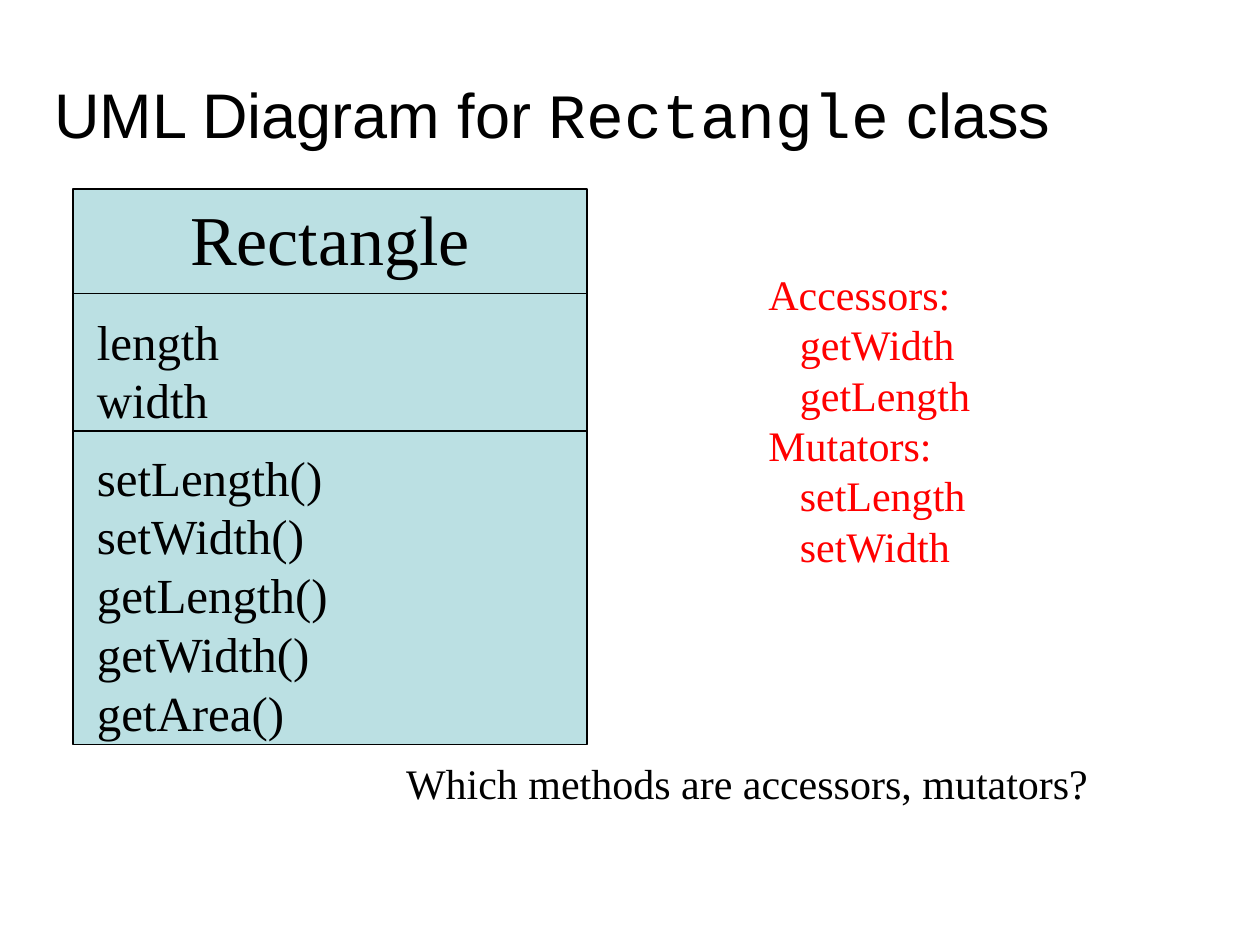
"""Build a slide with the UML class diagram of a Rectangle class."""
from dataclasses import dataclass

from lxml import etree
from pptx import Presentation
from pptx import util as u
from pptx.dml.color import RGBColor
from pptx.enum import shapes, text
from pptx.oxml.ns import qn


@dataclass(frozen=True)
class Theme:
    ink: RGBColor = RGBColor(0, 0, 0)
    answer: RGBColor = RGBColor(255, 0, 0)
    box: RGBColor = RGBColor(0xBB, 0xE0, 0xE3)
    title_font: str = "Arial"
    code_font: str = "Courier New"
    body_font: str = "Times New Roman"
    title_size: int = 36
    class_size: int = 40
    member_size: int = 28
    note_size: int = 24
    line_width: float = 0.75


class SlideBuilder:
    def __init__(self, slide, theme):
        self.slide = slide
        self.theme = theme

    def place(self, shape, left, top, width, height):
        shape.left, shape.top = u.Inches(left), u.Inches(top)
        shape.width, shape.height = u.Inches(width), u.Inches(height)

    def outline(self, shape):
        shape.line.color.rgb = self.theme.ink
        shape.line.width = u.Pt(self.theme.line_width)

    def title(self, pieces, *area):
        shape = self.slide.shapes.title
        self.place(shape, *area)
        frame = shape.text_frame
        frame.vertical_anchor = text.MSO_ANCHOR.BOTTOM
        paragraph = frame.paragraphs[0]
        paragraph.alignment = text.PP_ALIGN.LEFT
        paragraph.font.size = u.Pt(self.theme.title_size)
        paragraph.font.color.rgb = self.theme.ink
        for wording, font in pieces:
            run = paragraph.add_run()
            run.text = wording
            run.font.name = font

    def rectangle(self, *area):
        shape = self.slide.shapes.add_shape(
            shapes.MSO_SHAPE.RECTANGLE, *map(u.Inches, area))
        shape.shadow.inherit = False
        shape.fill.solid()
        shape.fill.fore_color.rgb = self.theme.box
        self.outline(shape)

    def divider(self, left, right, y):
        line = self.slide.shapes.add_connector(
            shapes.MSO_CONNECTOR.STRAIGHT,
            u.Inches(left), u.Inches(y), u.Inches(right), u.Inches(y))
        self.outline(line)
        etree.SubElement(line._element.spPr, qn("a:effectLst"))

    def text(self, lines, size, *area, color=None, centered=False, wrap=True):
        """Add a text box from (wording, left indent) pairs, one paragraph each."""
        frame = self.slide.shapes.add_textbox(*map(u.Inches, area)).text_frame
        frame.word_wrap = wrap
        for index, (wording, indent) in enumerate(lines):
            paragraph = frame.add_paragraph() if index else frame.paragraphs[0]
            paragraph.text = wording
            paragraph.alignment = (
                text.PP_ALIGN.CENTER if centered else text.PP_ALIGN.LEFT)
            paragraph.font.name = self.theme.body_font
            paragraph.font.size = u.Pt(size)
            paragraph.font.color.rgb = color or self.theme.ink
            if indent:
                paragraph._p.get_or_add_pPr().set("marL", str(u.Inches(indent)))


def main():
    presentation = Presentation()
    presentation.slide_width = u.Inches(10)
    presentation.slide_height = u.Inches(7.5)
    slide = presentation.slides.add_slide(presentation.slide_layouts[5])
    theme = Theme()
    builder = SlideBuilder(slide, theme)

    builder.title([("UML Diagram for ", theme.title_font),
                   ("Rectangle", theme.code_font),
                   (" class", theme.title_font)], 0.33, 0, 8.5, 1.25)

    left, top, width = 0.58, 1.5, 4.08
    builder.rectangle(left, top, width, 4.41)
    builder.text([("Rectangle", 0)], theme.class_size,
                 left, top, width, 0.55, centered=True)
    for y in (2.33, 3.42):
        builder.divider(left, left + width, y)

    fields = ["length", "width"]
    methods = ["setLength()", "setWidth()", "getLength()", "getWidth()", "getArea()"]
    for members, y, box_width, height in ((fields, 2.42, 1.83, 1.04),
                                          (methods, 3.5, 3.42, 2.46)):
        builder.text([("\v".join(members), 0)], theme.member_size,
                     0.67, y, box_width, height)

    builder.text([("Which methods are accessors, mutators?", 0)], theme.note_size,
                 3.1, 5.96, 5.66, 0.51, centered=True, wrap=False)

    groups = {"Accessors:": ("getWidth", "getLength"),
              "Mutators:": ("setLength", "setWidth")}
    answers = []
    for heading, names in groups.items():
        answers += [(heading, 0), *((name, 0.25) for name in names)]
    builder.text(answers, theme.note_size, 6, 2.08, 1.82, 2.52,
                 color=theme.answer, wrap=False)

    presentation.save("out.pptx")


if __name__ == "__main__":
    main()
